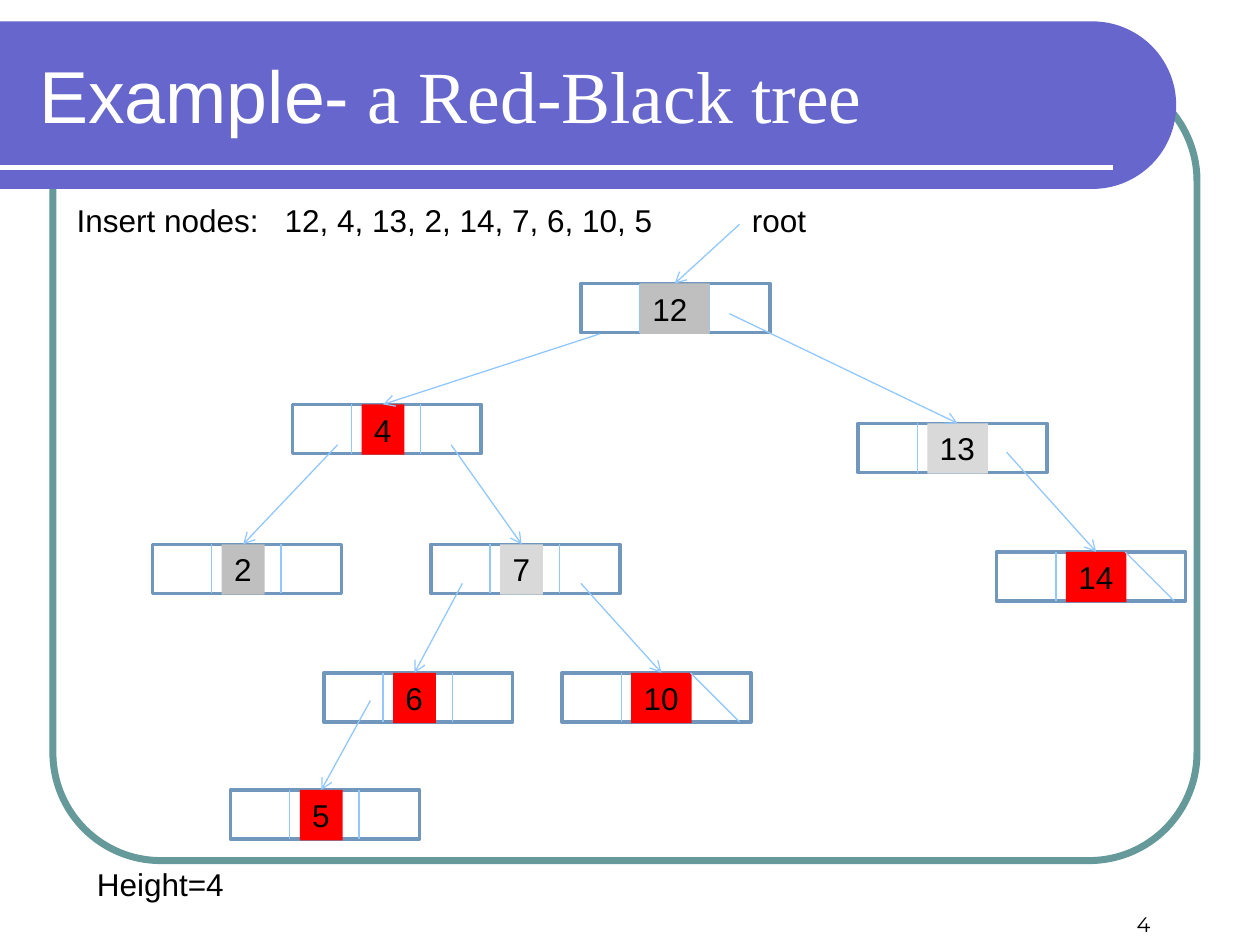
from math import cos, pi, sin
from lxml import etree
from pptx import Presentation
from pptx.dml.color import RGBColor
from pptx.enum.shapes import MSO_CONNECTOR as Conn, MSO_SHAPE as Kind
from pptx.enum.text import MSO_ANCHOR as Anchor, PP_ALIGN as Align
from pptx.oxml.ns import qn
from pptx.util import Inches, Pt

WHITE, BLACK = RGBColor(255, 255, 255), RGBColor(0, 0, 0)
TEAL, VIOLET = RGBColor(0x66, 0x99, 0x99), RGBColor(0x66, 0x66, 0xCC)
STEEL, SKY = RGBColor(0x71, 0x97, 0xBD), RGBColor(0x93, 0xC8, 0xFC)
RED = RGBColor(255, 0, 0)
GREY, PALE = RGBColor(0xBF, 0xBF, 0xBF), RGBColor(0xD9, 0xD9, 0xD9)

# Content
TITLE = [("Example-", "Arial"), (" a Red-Black tree", "Times New Roman")]
# key: left, top, fill, key offset, key width
NODES = {
    "12": (4.61, 2.25, GREY, 0.47, 0.55),
    "4": (2.32, 3.21, RED, 0.55, 0.34),
    "2": (1.21, 4.32, GREY, 0.55, 0.34),
    "6": (2.57, 5.34, RED, 0.55, 0.34),
    "10": (4.46, 5.34, RED, 0.55, 0.48),
    "13": (6.81, 3.36, PALE, 0.55, 0.48),
    "7": (3.42, 4.32, PALE, 0.55, 0.34),
    "5": (1.83, 6.27, RED, 0.55, 0.34),
    "14": (7.91, 4.38, RED, 0.55, 0.48),
}
# arrow start, key pointed at
EDGES = [
    (5.87, 1.78, "12"), (4.76, 2.65, "4"), (5.79, 2.49, "13"),
    (2.68, 3.53, "2"), (3.58, 3.53, "7"), (3.67, 4.63, "6"),
    (4.61, 4.63, "10"), (2.94, 5.56, "5"), (7.99, 3.59, "14"),
]
NULLS = ["10", "14"]
# text, left, top, width
LABELS = [
    ("root", 5.87, 1.55, 0.64),
    ("Insert nodes:\t12, 4, 13, 2, 14, 7, 6, 10, 5", 0.51, 1.55, 4.82),
    ("Height=4", 0.67, 6.82, 1.22),
]
WIDE, HIGH, TALL = 1.5, 0.39, 0.4
CELLS = (0.47, 1.02)

prs = Presentation()
prs.slide_width, prs.slide_height = Inches(10), Inches(7.5)
slide = prs.slides.add_slide(prs.slide_layouts[5])
shapes = slide.shapes


def place(shape, *box):
    shape.left, shape.top, shape.width, shape.height = map(Inches, box)


def paint(shape, fill=None, line=None, width=0):
    shape.shadow.inherit = False
    if fill is None:
        shape.fill.background()
    else:
        shape.fill.solid()
        shape.fill.fore_color.rgb = fill
    if line is None:
        shape.line.fill.background()
    else:
        shape.line.color.rgb = line
        shape.line.width = Pt(width)


def draw(home, x1, y1, x2, y2, color=SKY, width=0.75, arrow=False):
    line = home.add_connector(Conn.STRAIGHT, *map(Inches, (x1, y1, x2, y2)))
    line.line.color.rgb = color
    line.line.width = Pt(width)
    if arrow:
        etree.SubElement(line.line._get_or_add_ln(), qn("a:tailEnd"), type="arrow")
    etree.SubElement(line.element.spPr, qn("a:effectLst"))


def write(par, text, size=18, font="Arial", color=BLACK):
    run = par.add_run()
    run.text = text
    run.font.size, run.font.name = Pt(size), font
    run.font.color.rgb = color


def label(shape, text, anchor=Anchor.TOP, align=Align.LEFT, **style):
    frame = shape.text_frame
    frame.word_wrap = False
    frame.vertical_anchor = anchor
    par = frame.paragraphs[0]
    par.alignment = align
    write(par, text, **style)
    return par


# Frame and title band
frame = shapes.add_shape(Kind.ROUNDED_RECTANGLE, *map(Inches, (0.42, 0.58, 9.08, 6.25)))
frame.adjustments[0] = 0.137
paint(frame, line=TEAL, width=4)

top, low, bend = 0.17, 1.5, 8.67
mid, rad = (top + low) / 2, (low - top) / 2
arc = [(bend + rad * sin(pi * i / 60), mid - rad * cos(pi * i / 60)) for i in range(61)]
pen = shapes.build_freeform(0, Inches(top))
pen.add_line_segments([(Inches(x), Inches(y)) for x, y in arc + [(0, low)]], close=True)
paint(pen.convert_to_shape(), VIOLET)
draw(shapes, 0, 1.33, 8.83, 1.33, WHITE, 3)

# Title
title = shapes.title
shapes.element.append(title.element)
place(title, 0.21, 0.25, 8.77, 1)
title.text_frame.vertical_anchor = Anchor.MIDDLE
head = title.text_frame.paragraphs[0]
head.alignment = Align.LEFT
for text, font in TITLE:
    write(head, text, 42, font, WHITE)

# Tree nodes
for key, (x, y, fill, shift, wide) in NODES.items():
    node = shapes.add_group_shape().shapes
    box = node.add_shape(Kind.RECTANGLE, *map(Inches, (x, y, WIDE, HIGH)))
    paint(box, line=STEEL, width=2)
    for cell in CELLS:
        draw(node, x + cell, y, x + cell, y + HIGH)
    box = node.add_shape(Kind.RECTANGLE, *map(Inches, (x + shift, y, wide, TALL)))
    paint(box, fill)
    label(box, key)

# Arrows to the children, strokes for empty links
for x, y, key in EDGES:
    left, end, _, shift, wide = NODES[key]
    draw(shapes, x, y, left + shift + wide / 2, end, arrow=True)
for key in NULLS:
    x, y = NODES[key][:2]
    draw(shapes, x + CELLS[1], y, x + 1.41, y + HIGH)

# Labels and page number
for text, x, y, wide in LABELS:
    par = label(shapes.add_textbox(*map(Inches, (x, y, wide, TALL))), text)
    if "\t" in text:
        tabs = etree.SubElement(par._p.get_or_add_pPr(), qn("a:tabLst"))
        etree.SubElement(tabs, qn("a:tab"), pos=str(Inches(1.65)), algn="l")
page = shapes.add_textbox(*map(Inches, (7.15, 6.98, 2.08, 0.5)))
label(page, "4", Anchor.BOTTOM, Align.RIGHT, size=12, font="Montserrat")
page.text_frame.word_wrap = True

prs.save("out.pptx")
